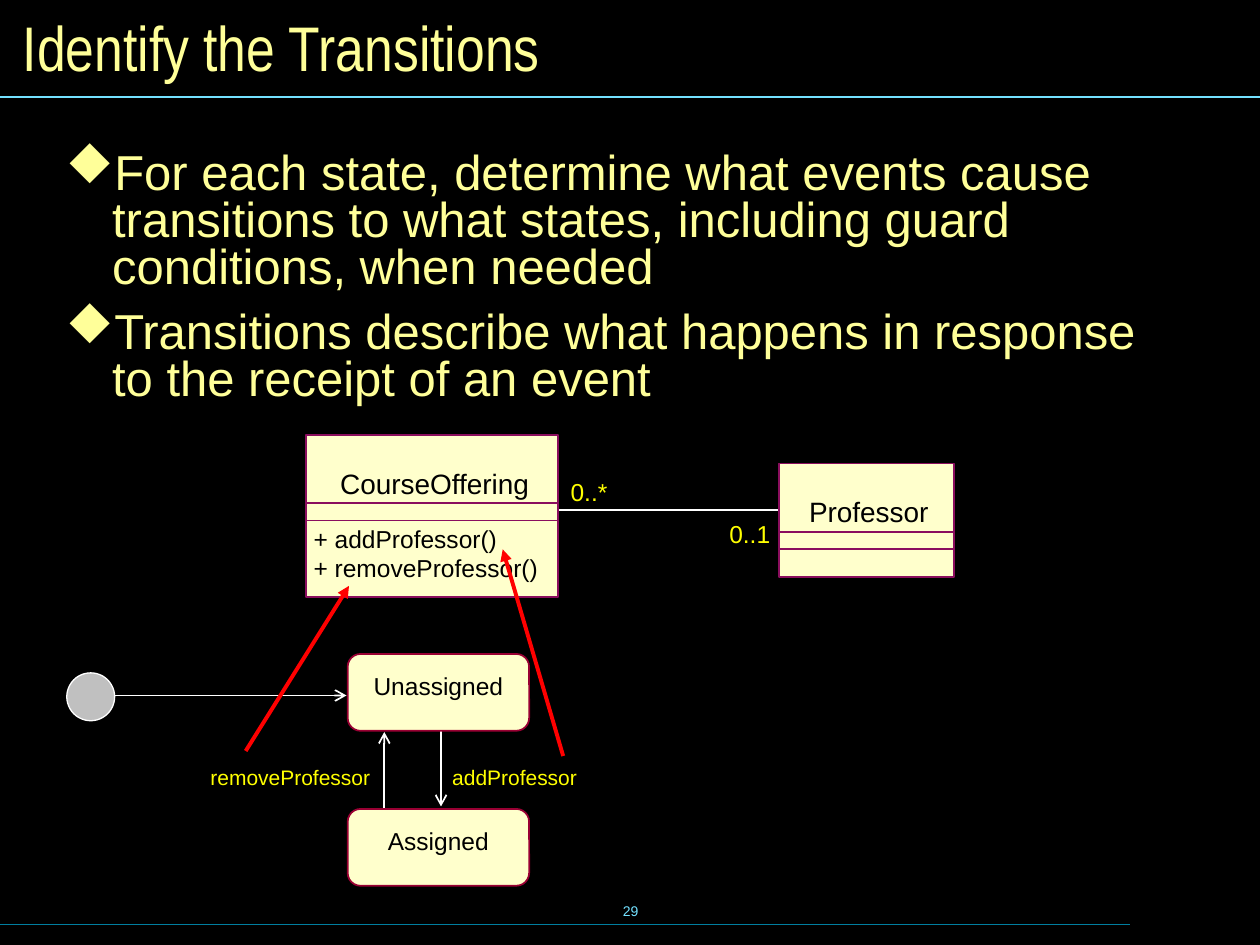
from lxml import etree
from pptx import Presentation
from pptx import util as u
from pptx.dml.color import RGBColor
from pptx.enum import shapes, text
from pptx.oxml.ns import qn

WIDTH, HEIGHT = 10, 7.5
BLACK, WHITE, RED = "000000", "FFFFFF", "FF0000"
CREAM, PLUM, CRIMSON, GREY = "FFFFCC", "8A0E5E", "990033", "C0C0C0"
PALE_YELLOW, YELLOW = "FFFF99", "FFFF00"
SKY, TEAL = "73E1FF", "007E9F"

SHAPE = shapes.MSO_SHAPE
ALIGN = text.PP_ALIGN
ANCHOR = text.MSO_ANCHOR

STATE_LEFT, STATE_WIDTH, STATE_HEIGHT = 2.76, 1.44, 0.61
STATE_TOP, STATE_STEP = 5.19, 1.23
DIAMOND = "u"  # a filled diamond in Wingdings
POINTS = [
    "For each state, determine what events cause transitions to what states, "
    "including guard conditions, when needed",
    "Transitions describe what happens in response to the receipt of an event",
]


def color(hex_code):
    return RGBColor.from_string(hex_code)


def inches(*lengths):
    return [u.Inches(length) for length in lengths]


def style_text(paragraph, size, ink, font="Arial", align=ALIGN.LEFT):
    paragraph.alignment = align
    paragraph.font.name = font
    paragraph.font.size = u.Pt(size)
    paragraph.font.color.rgb = color(ink)


def add_text(slide, words, left, top, width, height, size=14, ink=BLACK,
             align=ALIGN.LEFT, wrap=True, anchor=ANCHOR.TOP):
    frame = slide.shapes.add_textbox(*inches(left, top, width, height)).text_frame
    frame.word_wrap = wrap
    frame.vertical_anchor = anchor
    frame.text = words
    style_text(frame.paragraphs[0], size, ink, align=align)


def add_line(parent, start, end, ink=WHITE, weight=1, head=None):
    line = parent.shapes.add_connector(
        shapes.MSO_CONNECTOR.STRAIGHT, *inches(*start, *end))
    line.line.color.rgb = color(ink)
    line.line.width = u.Pt(weight)
    if head:
        etree.SubElement(line.line._get_or_add_ln(), qn("a:tailEnd"), type=head)
    etree.SubElement(line._element.spPr, qn("a:effectLst"))


def add_outline(parent, kind, left, top, width, height, fill, border, weight=1):
    shape = parent.shapes.add_shape(kind, *inches(left, top, width, height))
    shape.shadow.inherit = False
    shape.fill.solid()
    shape.fill.fore_color.rgb = color(fill)
    shape.line.color.rgb = color(border)
    shape.line.width = u.Pt(weight)


def add_class(slide, name, left, top, width, height, operations=()):
    """UML class: name, empty attribute band and a list of operations."""
    group = slide.shapes.add_group_shape()
    add_outline(group, SHAPE.RECTANGLE, left, top, width, height, CREAM, PLUM)
    for offset in (0.68, 0.54):
        y = top + offset
        add_line(group, (left + 0.01, y), (left + width + 0.01, y), PLUM)
    add_text(slide, name, left + 0.02, top + 0.2, width, 0.37, size=16,
             align=ALIGN.CENTER)
    for row, operation in enumerate(operations):
        add_text(slide, operation, left - 0.04, top + 0.66 + 0.23 * row,
                 width + 0.2, 0.33)


def add_state(slide, name, row):
    top = STATE_TOP + row * STATE_STEP
    add_outline(slide, SHAPE.ROUNDED_RECTANGLE, STATE_LEFT, top,
                STATE_WIDTH, STATE_HEIGHT, CREAM, CRIMSON)
    add_text(slide, name, STATE_LEFT, top + 0.09, STATE_WIDTH, 0.34,
             align=ALIGN.CENTER)


def add_bullets(slide, points, left, top, width, height):
    frame = slide.shapes.add_textbox(*inches(left, top, width, height)).text_frame
    frame.word_wrap = True
    frame.margin_left = frame.margin_right = u.Inches(0.12)
    frame.margin_top = frame.margin_bottom = u.Inches(0.06)
    for index, point in enumerate(points):
        paragraph = frame.add_paragraph() if index else frame.paragraphs[0]
        paragraph.text = point
        paragraph.line_spacing = 0.8
        if index:
            paragraph.space_before = u.Pt(10.5)
        properties = paragraph._p.get_or_add_pPr()
        properties.set("marL", str(u.Inches(0.37)))
        properties.set("indent", str(-u.Inches(0.37)))
        bullet_color = etree.SubElement(properties, qn("a:buClr"))
        etree.SubElement(bullet_color, qn("a:srgbClr"), val=PALE_YELLOW)
        etree.SubElement(properties, qn("a:buFont"), typeface="Wingdings",
                         pitchFamily="2", charset="2")
        etree.SubElement(properties, qn("a:buChar"), char=DIAMOND)
        style_text(paragraph, 28, PALE_YELLOW)


def set_title(slide, words):
    title = slide.shapes.title
    title.left, title.top, title.width, title.height = inches(
        0.08, 0.08, WIDTH - 0.16, 0.58)
    title.text_frame.text = words
    title.text_frame.vertical_anchor = ANCHOR.MIDDLE
    title.text_frame.auto_size = text.MSO_AUTO_SIZE.NONE
    style_text(title.text_frame.paragraphs[0], 36, PALE_YELLOW, "Arial Narrow")


def add_frame(slide):
    """Background, rules and page number."""
    slide.background.fill.solid()
    slide.background.fill.fore_color.rgb = color(BLACK)
    add_text(slide, "29", 3.42, 6.98, 3.17, 0.5, size=8, ink=SKY,
             align=ALIGN.CENTER, anchor=ANCHOR.MIDDLE)
    add_line(slide, (0, 7.34), (8.97, 7.34), TEAL, 0.75)
    add_line(slide, (0, 0.77), (WIDTH, 0.77), SKY, 0.75)


def add_class_diagram(slide):
    add_line(slide, (3.78, 4.05), (6.6, 4.05))
    add_class(slide, "CourseOffering", 2.43, 3.45, 2, 1.29,
              ["+ addProfessor()", "+ removeProfessor()"])
    add_class(slide, "Professor", 6.18, 3.68, 1.39, 0.9)
    add_text(slide, "0..*", 4.43, 3.74, 0.49, 0.33, ink=YELLOW, wrap=False)
    add_text(slide, "0..1", 5.69, 4.07, 0.53, 0.33, ink=YELLOW, wrap=False)


def add_state_diagram(slide):
    add_line(slide, (3.5, 5.79), (3.5, 6.4), head="arrow")
    add_line(slide, (3.05, 6.46), (3.05, 5.81), head="arrow")
    for row, state in enumerate(["Unassigned", "Assigned"]):
        add_state(slide, state, row)
    add_line(slide, (0.84, 5.52), (2.75, 5.52), head="arrow")
    add_outline(slide, SHAPE.OVAL, 0.53, 5.34, 0.38, 0.38, GREY, WHITE, 0.75)
    for event, left, width in [("removeProfessor", 1.54, 1.53),
                               ("addProfessor", 3.47, 1.23)]:
        add_text(slide, event, left, 6.02, width, 0.3, size=12, ink=YELLOW,
                 align=ALIGN.CENTER)
    for event_end, operation_end in [((4.47, 6), (3.99, 4.36)),
                                     ((1.95, 5.96), (2.77, 4.65))]:
        add_line(slide, event_end, operation_end, RED, 2.25, "triangle")


def main():
    deck = Presentation()
    deck.slide_width, deck.slide_height = inches(WIDTH, HEIGHT)
    slide = deck.slides.add_slide(deck.slide_layouts.get_by_name("Title Only"))
    add_frame(slide)
    set_title(slide, "Identify the Transitions")
    add_bullets(slide, POINTS, 0.4, 1.15, 8.78, 5.52)
    add_class_diagram(slide)
    add_state_diagram(slide)
    deck.save("out.pptx")


if __name__ == "__main__":
    main()
